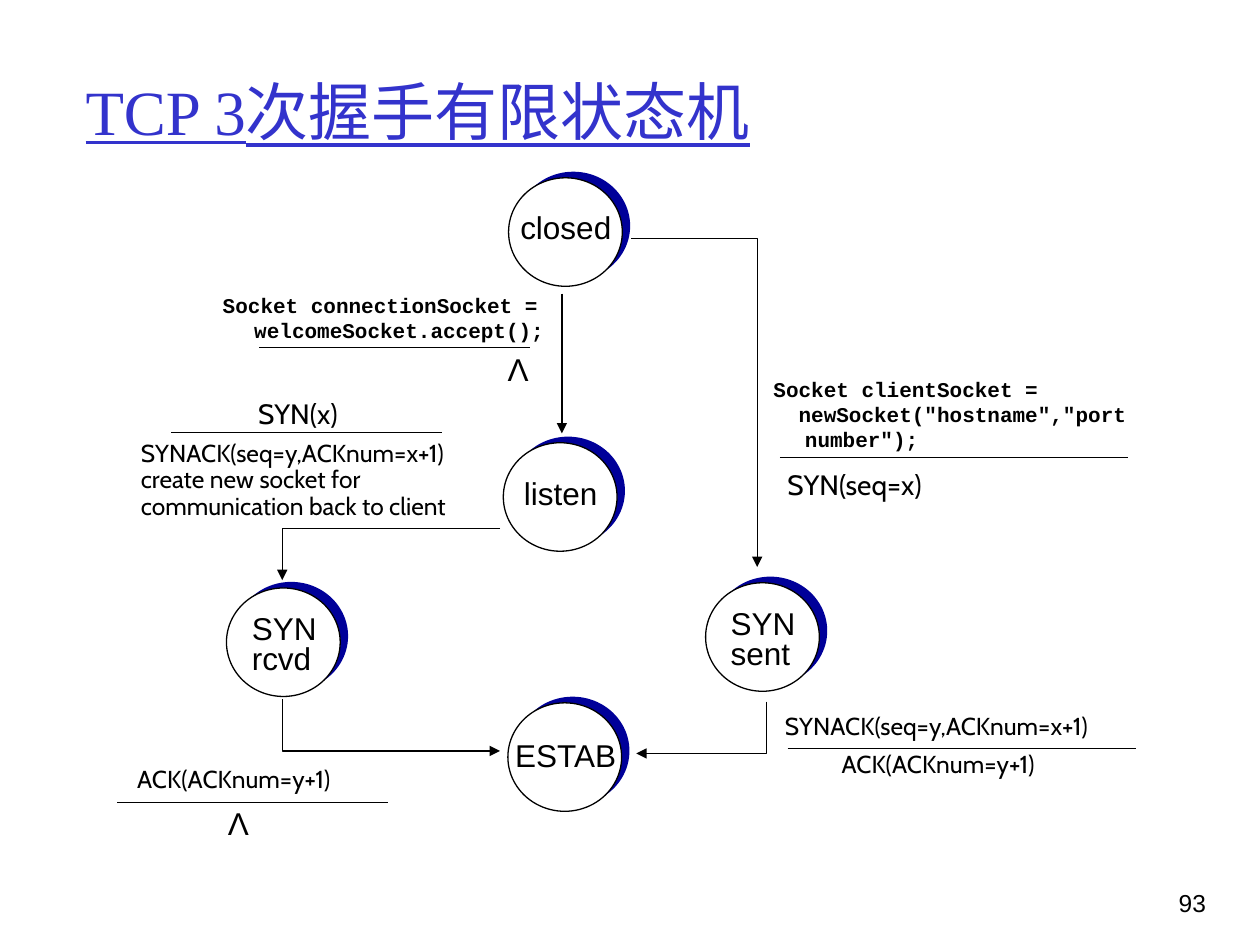
from typing import NamedTuple

from lxml.etree import SubElement
from pptx import Presentation
from pptx.dml.color import RGBColor
from pptx.enum.shapes import MSO_CONNECTOR, MSO_SHAPE
from pptx.enum.text import MSO_ANCHOR, MSO_AUTO_SIZE, PP_ALIGN
from pptx.oxml.ns import qn
from pptx.util import Pt

BLACK, WHITE, NAVY, BLUE = "000000", "FFFFFF", "000099", "3333CC"
CIRCLE_W, CIRCLE_H = 65, 62
SHADE_DX, SHADE_DY = 4.5, -3.5


class State(NamedTuple):
    x: float
    y: float
    label: str
    label_box: tuple[float, float, float, float]
    spacing: float | None = None


class Label(NamedTuple):
    text: str
    box: tuple[float, float, float, float]
    size: float
    font: str = "Cabin"
    spacing: float | None = None


class Code(NamedTuple):
    text: str
    box: tuple[float, float, float, float]


STATES = [
    State(290.6, 101.6, "closed", (290.2, 115.2, 66.2, 28.8)),
    State(287.6, 253, "listen", (292.3, 267.1, 56.2, 28.8)),
    State(129.4, 336, "SYN\nrcvd", (136.8, 348.5, 51.8, 41.8), 0.8),
    State(403.2, 333, "SYN\nsent", (410.4, 345.6, 51.8, 41.8), 0.8),
    State(290.2, 401.6, "ESTAB", (287.3, 421.2, 73.4, 24.5), 0.8),
]
LABELS = [
    Label("Λ", (283, 196.6, 26.6, 28.8), 18, "Arial"),
    Label("Λ", (123.1, 455.8, 26.6, 28.8), 18, "Arial"),
    Label("SYN(x)", (140.4, 223.2, 63.4, 26.6), 16),
    Label("SYN(seq=x)", (442.8, 263.5, 99.4, 26.6), 16),
    Label("SYNACK(seq=y,ACKnum=x+1)\ncreate new socket for\n"
          "communication back to client", (73.4, 248.5, 205.2, 53), 14, spacing=0.9),
    Label("SYNACK(seq=y,ACKnum=x+1)", (441.4, 404.7, 205.2, 22.5), 14, spacing=0.9),
    Label("ACK(ACKnum=y+1)", (473.8, 426.3, 137.5, 22.5), 14, spacing=0.9),
    Label("ACK(ACKnum=y+1)", (71.3, 434.9, 137.5, 22.5), 14, spacing=0.9),
]
CODES = [
    Code('Socket clientSocket =\n  newSocket("hostname","port number");',
         (434.9, 211.7, 227.5, 50.4)),
    Code("Socket connectionSocket = welcomeSocket.accept();",
         (120.2, 163.4, 203, 36)),
]
# Rules between event and action: left, right, y
RULES = [(445.7, 644.4, 261.4), (148.3, 303.1, 198.7), (97.9, 252.7, 247),
         (450, 649.4, 427.7), (67, 221.8, 458.6)]
# Bent arrows, each ending at its arrowhead
BENDS = [
    [(360.7, 136.1), (432.7, 136.1), (432.7, 324)],
    [(285.8, 302), (161.3, 302), (161.3, 331.5)],
    [(161.3, 399.6), (161.3, 429.1), (285.8, 429.1)],
    [(438, 401), (438, 430.6), (363.6, 430.6)],
]


def color(value: str) -> RGBColor:
    return RGBColor.from_string(value)


def add_text(s, text: str, box: tuple, *, size: float, font: str = "Arial",
             fill: str = BLACK, bold: bool = False, underline: bool = False,
             wrap: bool = False, grow: bool = True, spacing: float | None = None,
             hanging: float = 0, align=None, anchor=MSO_ANCHOR.TOP) -> None:
    sp = s.shapes.add_textbox(*map(Pt, box))
    tf = sp.text_frame
    tf.word_wrap = wrap
    tf.auto_size = MSO_AUTO_SIZE.SHAPE_TO_FIT_TEXT if grow else MSO_AUTO_SIZE.NONE
    tf.vertical_anchor = anchor
    for i, line in enumerate(text.split("\n")):
        p = tf.paragraphs[0] if i == 0 else tf.add_paragraph()
        p.alignment = align
        if spacing:
            p.line_spacing = spacing
        if hanging:
            pPr = p._p.get_or_add_pPr()
            pPr.set("marL", str(Pt(hanging)))
            pPr.set("indent", str(-Pt(hanging)))
        r = p.add_run()
        r.text = line
        r.font.name, r.font.size = font, Pt(size)
        r.font.bold, r.font.underline = bold, underline
        r.font.color.rgb = color(fill)


def style_line(sp, arrow: bool = False) -> None:
    sp.line.color.rgb = color(BLACK)
    sp.line.width = Pt(0.75)
    if arrow:
        SubElement(sp.line._get_or_add_ln(), qn("a:tailEnd"), type="triangle")


def add_line(s, x1: float, y1: float, x2: float, y2: float, arrow: bool = False) -> None:
    sp = s.shapes.add_connector(MSO_CONNECTOR.STRAIGHT, Pt(x1), Pt(y1), Pt(x2), Pt(y2))
    style_line(sp, arrow)
    SubElement(sp._element.spPr, qn("a:effectLst"))


def add_bend(s, points: list[tuple[float, float]]) -> None:
    start, *rest = [(Pt(x), Pt(y)) for x, y in points]
    builder = s.shapes.build_freeform(*start)
    builder.add_line_segments(rest, close=False)
    sp = builder.convert_to_shape()
    sp.shadow.inherit = False
    sp.fill.background()
    style_line(sp, arrow=True)


def add_state(s, state: State) -> None:
    group = s.shapes.add_group_shape()
    for dx, dy, fill in ((SHADE_DX, SHADE_DY, NAVY), (0, 0, WHITE)):
        sp = group.shapes.add_shape(MSO_SHAPE.OVAL, Pt(state.x + dx), Pt(state.y + dy),
                                    Pt(CIRCLE_W), Pt(CIRCLE_H))
        sp.shadow.inherit = False
        sp.fill.solid()
        sp.fill.fore_color.rgb = color(fill)
        if fill == WHITE:
            style_line(sp)
        else:
            sp.line.fill.background()
    add_text(s, state.label, state.label_box, size=18, spacing=state.spacing)


def main() -> None:
    prs = Presentation()
    prs.slide_width, prs.slide_height = Pt(720), Pt(540)
    s = prs.slides.add_slide(prs.slide_layouts[6])

    # Title and page number
    add_text(s, "TCP 3次握手有限状态机", (41.8, 18, 612, 90), size=36,
             font="Times New Roman", fill=BLUE, underline=True, wrap=True,
             grow=False, anchor=MSO_ANCHOR.MIDDLE)
    add_text(s, "93", (643, 504, 53.3, 36), size=14, wrap=True, grow=False,
             align=PP_ALIGN.RIGHT)

    # States
    for state in STATES:
        add_state(s, state)

    # Transitions
    add_line(s, 321.1, 167.8, 321.1, 247.7, arrow=True)
    for points in BENDS:
        add_bend(s, points)

    # Events and actions
    for left, right, y in RULES:
        add_line(s, left, y, right, y)
    for label in LABELS:
        add_text(s, label.text, label.box, size=label.size, font=label.font,
                 spacing=label.spacing)
    for code in CODES:
        add_text(s, code.text, code.box, size=12, font="Courier New", bold=True,
                 wrap=True, hanging=18)

    prs.save("out.pptx")


if __name__ == "__main__":
    main()
